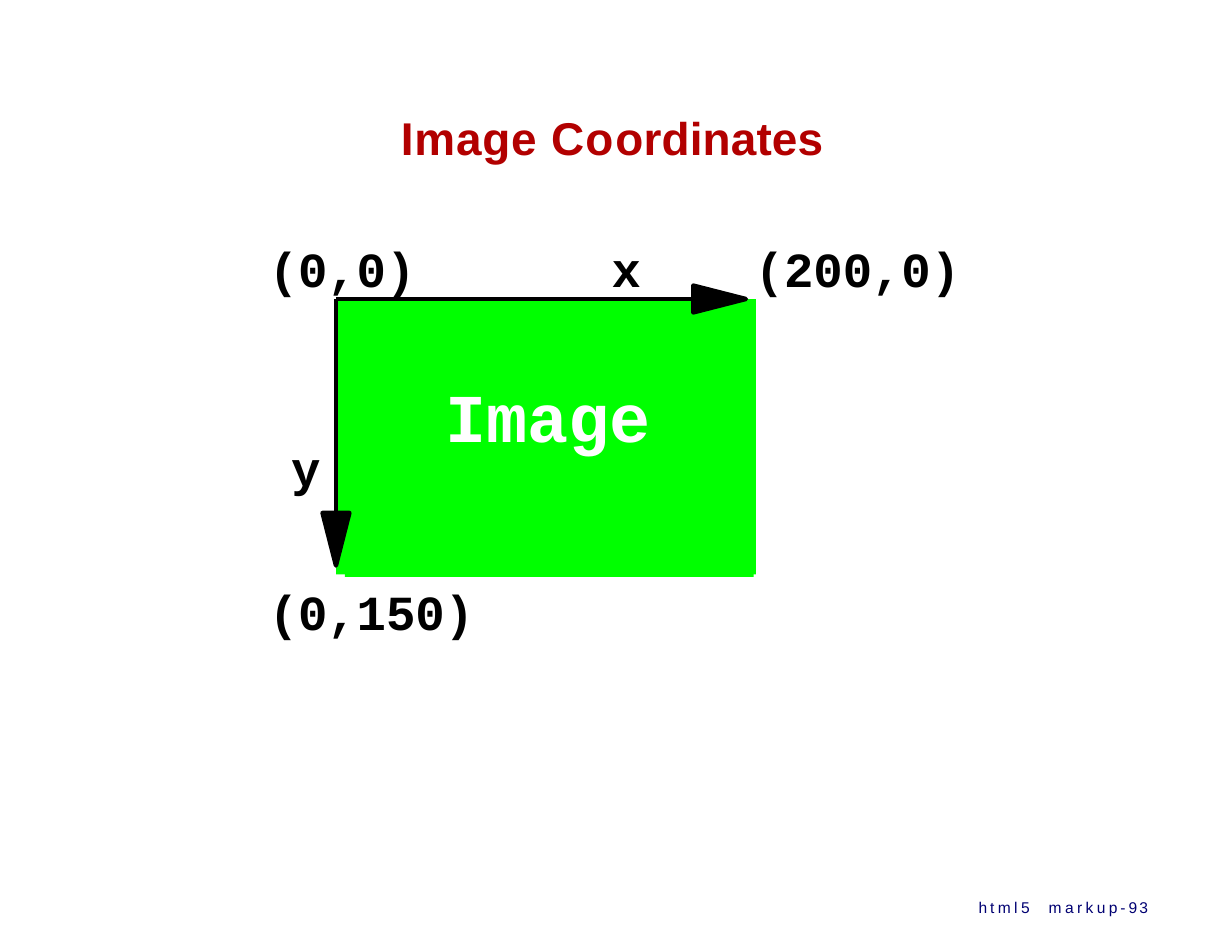
from lxml import etree
from pptx import Presentation
from pptx.dml.color import RGBColor
from pptx.enum.shapes import MSO_CONNECTOR as Connector, MSO_SHAPE as Shape
from pptx.enum.text import MSO_ANCHOR as Anchor, MSO_AUTO_SIZE as AutoSize, PP_ALIGN as Align
from pptx.oxml.ns import qn
from pptx.util import Inches, Pt

BLACK, GREEN, WHITE = "000000", "00FF00", "FFFFFF"
RED, NAVY = "B20000", "000072"
AXIS_WIDTH = Pt(2.84)
HEAD_LENGTH, HEAD_HALF = 0.47, 0.12


def color(hex_value):
    return RGBColor.from_string(hex_value)


def place(part, left, top, width, height):
    part.left, part.top = Inches(left), Inches(top)
    part.width, part.height = Inches(width), Inches(height)


def write(part, runs, font="Courier New", size=31.5, fill=BLACK, bold=True,
          align=Align.LEFT, anchor=Anchor.TOP, wrap=False):
    frame = part.text_frame
    frame.auto_size = AutoSize.NONE
    frame.word_wrap = wrap
    frame.vertical_anchor = anchor
    frame.margin_left = frame.margin_right = frame.margin_top = frame.margin_bottom = 0
    paragraph = frame.paragraphs[0]
    paragraph.alignment = align
    for text, spacing in runs:
        run = paragraph.add_run()
        run.text = text
        run.font.name, run.font.size, run.font.bold = font, Pt(size), bold
        run.font.color.rgb = color(fill)
        if spacing:
            run._r.get_or_add_rPr().set("spc", str(round(spacing * 100)))


def add_label(slide, text, left, top, width, height=0.56, **style):
    label = slide.shapes.add_textbox(0, 0, 0, 0)
    place(label, left, top, width, height)
    write(label, [(text, 0)], **style)


def add_block(slide, left, top, width, height):
    block = slide.shapes.add_shape(
        Shape.RECTANGLE, Inches(left), Inches(top), Inches(width), Inches(height))
    block.shadow.inherit = False
    block.fill.solid()
    block.fill.fore_color.rgb = color(GREEN)
    block.line.fill.background()


def add_axis(slide, start, end):
    shaft = slide.shapes.add_connector(
        Connector.STRAIGHT, *(Inches(value) for value in start + end))
    shaft.line.color.rgb = color(BLACK)
    shaft.line.width = AXIS_WIDTH
    etree.SubElement(shaft._element.spPr, qn("a:effectLst"))

    x, y = end
    if start[1] == y:
        base = [(x - HEAD_LENGTH, y - HEAD_HALF), (x - HEAD_LENGTH, y + HEAD_HALF)]
    else:
        base = [(x + HEAD_HALF, y - HEAD_LENGTH), (x - HEAD_HALF, y - HEAD_LENGTH)]
    outline = slide.shapes.build_freeform(Inches(x), Inches(y))
    outline.add_line_segments([(Inches(px), Inches(py)) for px, py in base], close=True)
    head = outline.convert_to_shape()
    head.shadow.inherit = False
    head.fill.solid()
    head.fill.fore_color.rgb = color(BLACK)
    head.line.color.rgb = color(BLACK)
    head.line.width = AXIS_WIDTH
    etree.SubElement(head.line._get_or_add_ln(), qn("a:round"))


def main():
    deck = Presentation()
    deck.slide_width, deck.slide_height = Inches(11), Inches(8.5)
    slide = deck.slides.add_slide(deck.slide_layouts[5])

    title = slide.shapes.title
    place(title, 3.58, 0.98, 3.86, 0.53)
    write(title, [("Image ", 0.5), ("C", 0.6), ("o", 1.4), ("ordinates", 0.1)],
          font="Arial", size=29.5, fill=RED)

    add_block(slide, 3, 2.67, 3.75, 2.46)
    add_axis(slide, (3, 2.67), (6.66, 2.67))
    add_block(slide, 3.08, 4.57, 3.65, 0.58)
    add_axis(slide, (3, 2.67), (3, 5.05))

    add_label(slide, "Image", 3.98, 3.34, 1.87, 0.77, size=44, fill=WHITE)
    for text, left, top, width in [
        ("(0,0)", 2.4, 2.13, 1.34),
        ("x", 5.46, 2.13, 0.29),
        ("y", 2.6, 3.91, 0.29),
        ("(0,150)", 2.4, 5.19, 1.87),
        ("(200,0)", 6.74, 2.13, 1.87),
    ]:
        add_label(slide, text, left, top, width)

    footer = slide.shapes.add_textbox(0, 0, 0, 0)
    place(footer, 7.77, 7.88, 2.48, 0.45)
    write(footer, [("h", 1.8), ("tml5", 2.2), (" ", 7.2), ("marku", 2.2), ("p-", 1.9), ("93", 1.4)],
          font="Arial", size=10, fill=NAVY, bold=False,
          align=Align.RIGHT, anchor=Anchor.MIDDLE, wrap=True)

    deck.save("out.pptx")


if __name__ == "__main__":
    main()
